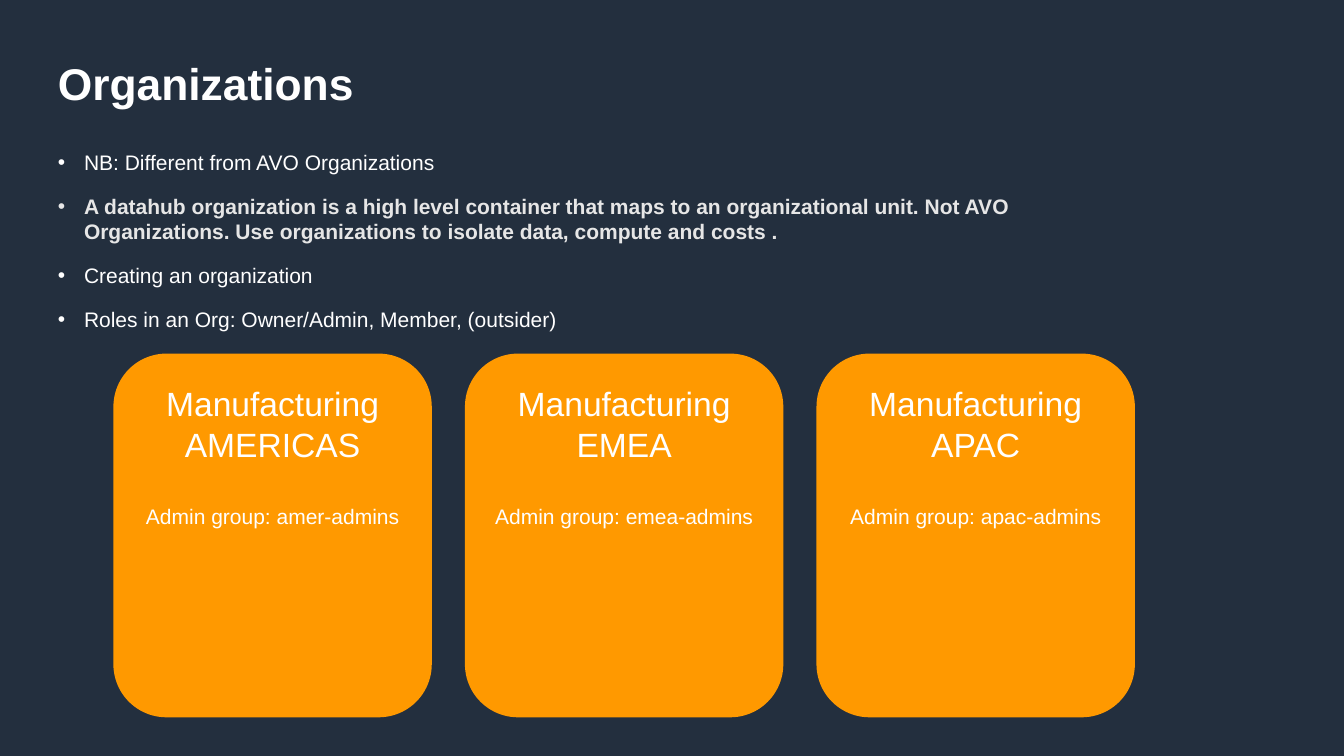
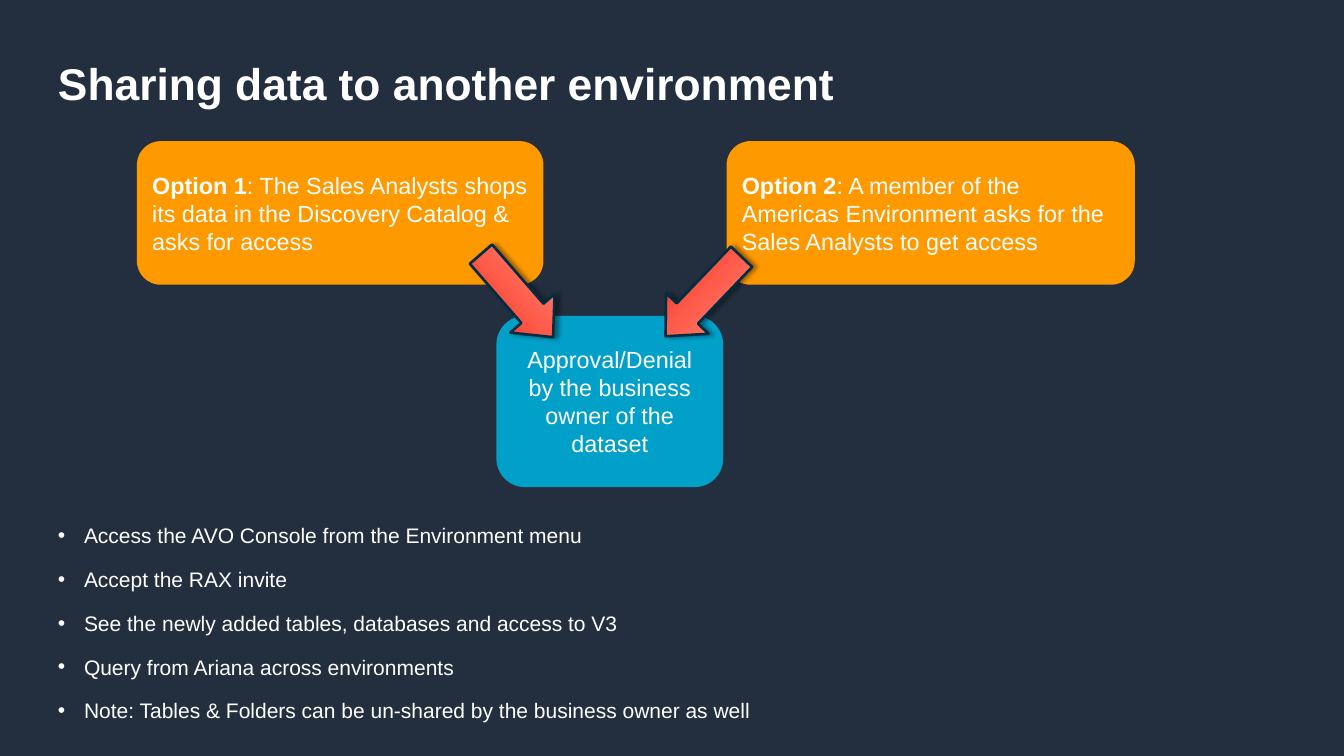
from dataclasses import dataclass

from lxml import etree
from pptx import Presentation
from pptx.dml.color import RGBColor
from pptx.enum.shapes import MSO_SHAPE
from pptx.enum.text import MSO_ANCHOR, MSO_AUTO_SIZE, PP_ALIGN
from pptx.oxml import parse_xml
from pptx.oxml.ns import nsdecls, qn
from pptx.util import Inches, Pt

ROUNDED = MSO_SHAPE.ROUNDED_RECTANGLE
ARROW = MSO_SHAPE.RIGHT_ARROW
TOP, MIDDLE = MSO_ANCHOR.TOP, MSO_ANCHOR.MIDDLE
LEFT, CENTER = PP_ALIGN.LEFT, PP_ALIGN.CENTER


@dataclass(frozen=True)
class Theme:
    font: str = "Arial"
    background: str = "232F3E"
    white: str = "FFFFFF"
    soft_white: str = "E6E6E6"
    orange: str = "FF9900"
    blue: str = "00A0C8"
    arrow_line: str = "002D43"
    arrow_stops: tuple = ((0, "D91500"), (48, "FE5B4A"), (100, "FF998F"))
    title_size: float = 38
    body_size: float = 18
    box_size: float = 20
    card_size: float = 28.8


THEME = Theme()

ORGANIZATIONS = {
    "title": "Organizations",
    "area": (0.59, 1.73, 12.92, 4.4),
    "bullets": [
        "NB: Different from AVO Organizations",
        "A datahub organization is a high level container that maps to an "
        "organizational unit. Not AVO Organizations. Use organizations to "
        "isolate data, compute and costs .",
        "Creating an organization",
        "Roles in an Org: Owner/Admin, Member, (outsider)",
    ],
    "emphasized": 1,
}
CARDS = [
    ("Manufacturing AMERICAS", "Admin group: amer-admins"),
    ("Manufacturing EMEA", "Admin group: emea-admins"),
    ("Manufacturing APAC", "Admin group: apac-admins"),
]
CARDS_AREA = (1.35, 4.21, 12.16, 4.33)
CARD_WIDTH = 3.79

SHARING = {
    "title": "Sharing data to another environment",
    "area": (0.59, 6.17, 13.06, 2.51),
    "bullets": [
        "Access the AVO Console from the Environment menu",
        "Accept the RAX invite",
        "See the newly added tables, databases and access to V3",
        "Query from Ariana across environments",
        "Note: Tables & Folders can be un-shared by the business owner as well",
    ],
    "emphasized": None,
}
APPROVAL = ("Approval/Denial by the business owner of the dataset", (5.91, 3.76, 2.7, 2.04))
OPTIONS = [
    ("Option 1", ": The Sales Analysts shops its data in the Discovery Catalog & asks for access",
     (1.63, 1.68, 4.84, 1.71)),
    ("Option 2", ": A member of the Americas Environment asks for the Sales Analysts to get access",
     (8.65, 1.68, 4.86, 1.71)),
]
ARROWS = [((5.5, 3.17, 1.31, 0.7), 49), ((7.72, 3.18, 1.31, 0.7), 133.7)]


def inches(area):
    return [Inches(value) for value in area]


def place(shape, area):
    shape.left, shape.top, shape.width, shape.height = inches(area)


def style_run(run, size, color=THEME.white, bold=False):
    run.font.name = THEME.font
    run.font.size = Pt(size)
    run.font.bold = bold
    run.font.color.rgb = RGBColor.from_string(color)


def add_slide(presentation, content):
    slide = presentation.slides.add_slide(presentation.slide_layouts[1])
    title, body = slide.placeholders
    title.text_frame.text = content["title"]
    title.text_frame.vertical_anchor = TOP
    title.text_frame.auto_size = MSO_AUTO_SIZE.NONE
    heading = title.text_frame.paragraphs[0]
    heading.alignment = LEFT
    style_run(heading.runs[0], THEME.title_size, bold=True)

    place(body, content["area"])
    body.text_frame.text = "\n".join(content["bullets"])
    body.text_frame.auto_size = MSO_AUTO_SIZE.NONE
    for index, paragraph in enumerate(body.text_frame.paragraphs):
        emphasized = index == content["emphasized"]
        paragraph.space_before = Pt(16 if index else 0)
        properties = paragraph._p.get_or_add_pPr()
        properties.set("marL", str(Inches(0.31)))
        properties.set("indent", str(-Inches(0.31)))
        color = THEME.soft_white if emphasized else THEME.white
        style_run(paragraph.runs[0], THEME.body_size, color, emphasized)
    return slide


def add_box(slide, area, fill, paragraphs, alignment=CENTER, anchor=MIDDLE):
    box = slide.shapes.add_shape(ROUNDED, *inches(area))
    box.shadow.inherit = False
    box.fill.solid()
    box.fill.fore_color.rgb = RGBColor.from_string(fill)
    box.line.fill.background()
    frame = box.text_frame
    frame.word_wrap = True
    frame.vertical_anchor = anchor
    for index, runs in enumerate(paragraphs):
        paragraph = frame.add_paragraph() if index else frame.paragraphs[0]
        paragraph.alignment = alignment
        for text, size, bold in runs:
            run = paragraph.add_run()
            run.text = text
            style_run(run, size, bold=bold)
    return box


def add_cards(slide):
    left, top, width, height = CARDS_AREA
    pitch = (width - CARD_WIDTH) / (len(CARDS) - 1)
    for index, (name, group) in enumerate(CARDS):
        card = add_box(slide, (left + index * pitch, top, CARD_WIDTH, height), THEME.orange,
                       [[(name, THEME.card_size, False)], [(group, THEME.body_size, False)]],
                       anchor=TOP)
        card.text_frame.margin_top = Inches(0.17)
        card.text_frame.paragraphs[1].space_before = Pt(34)


def add_arrow(slide, area, rotation):
    arrow = slide.shapes.add_shape(ARROW, *inches(area))
    arrow.rotation = rotation
    arrow.adjustments[1] = 0.537
    arrow.line.color.rgb = RGBColor.from_string(THEME.arrow_line)
    arrow.line.width = Pt(2.25)
    arrow.fill.gradient()
    arrow.fill.gradient_angle = 90
    properties = arrow._element.spPr
    stops = properties.find(".//" + qn("a:gsLst"))
    for stop in list(stops):
        stops.remove(stop)
    for position, color in THEME.arrow_stops:
        stop = etree.SubElement(stops, qn("a:gs"), pos=str(position * 1000))
        etree.SubElement(stop, qn("a:srgbClr"), val=color)
    arrow.shadow.inherit = False
    properties.find(qn("a:effectLst")).append(parse_xml(
        f'<a:outerShdw {nsdecls("a")} blurRad="{Pt(4)}" dist="{Pt(3)}" dir="0">'
        '<a:srgbClr val="000000"><a:alpha val="40000"/></a:srgbClr></a:outerShdw>'))


def main():
    presentation = Presentation()
    presentation.slide_width, presentation.slide_height = Inches(16), Inches(9)
    background = presentation.slide_master.background.fill
    background.solid()
    background.fore_color.rgb = RGBColor.from_string(THEME.background)
    place(presentation.slide_layouts[1].placeholders[0], (0.59, 0.62, 14.36, 0.86))

    add_cards(add_slide(presentation, ORGANIZATIONS))

    slide = add_slide(presentation, SHARING)
    text, area = APPROVAL
    add_box(slide, area, THEME.blue, [[(text, THEME.box_size, False)]])
    for label, text, area in OPTIONS:
        add_box(slide, area, THEME.orange,
                [[(label, THEME.box_size, True), (text, THEME.box_size, False)]], LEFT)
    for area, rotation in ARROWS:
        add_arrow(slide, area, rotation)
    presentation.save("out.pptx")


if __name__ == "__main__":
    main()
